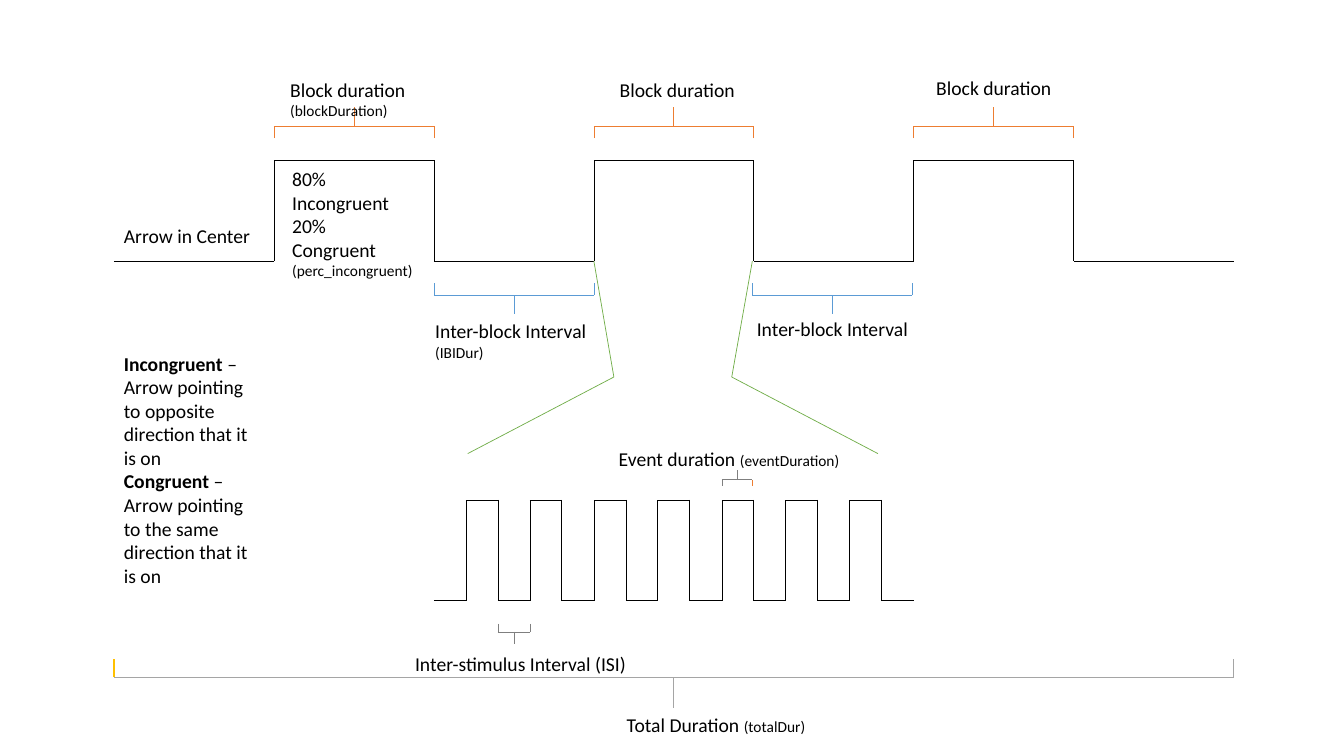
import pptx
import pptx.dml.color
import pptx.enum.shapes
import pptx.enum.text
import pptx.util
import lxml.etree

BLACK, ORANGE, BLUE, GREEN = "000000", "ED7D31", "5B9BD5", "70AD47"
GRAY, SILVER, YELLOW = "7F7F7F", "A5A5A5", "FFC000"


def color(value):
    return pptx.dml.color.RGBColor.from_string(value)


class Diagram:
    font = "Calibri"
    body = 14
    small = 11
    thin = 0.5

    def __init__(self, slide):
        self.slide = slide

    def line(self, start, end, stroke=BLACK, width=thin):
        points = [pptx.util.Pt(value) for value in (*start, *end)]
        connector = self.slide.shapes.add_connector(
            pptx.enum.shapes.MSO_CONNECTOR.STRAIGHT, *points)
        connector.line.color.rgb = color(stroke)
        connector.line.width = pptx.util.Pt(width)
        lxml.etree.SubElement(
            connector.element.spPr, pptx.oxml.ns.qn("a:effectLst"))

    def polyline(self, points, stroke=BLACK):
        for start, end in zip(points, points[1:]):
            self.line(start, end, stroke)

    def wave(self, left, step, high, low, pulses):
        points = [(left, low)]
        for pulse in range(pulses):
            rise = left + (2 * pulse + 1) * step
            fall = rise + step
            points += [(rise, low), (rise, high), (fall, high), (fall, low)]
        points.append((left + (2 * pulses + 1) * step, low))
        self.polyline(points)

    def bracket(self, left, right, tip, spine, stem, stroke,
                left_tick=None, right_tick=None, left_width=thin):
        middle = (left + right) / 2
        self.line((left, tip), (left, spine), left_tick or stroke, left_width)
        self.line((left, spine), (right, spine), stroke)
        self.line((right, tip), (right, spine), right_tick or stroke)
        self.line((middle, spine), (middle, stem), stroke)

    def label(self, left, top, width, height, *paragraphs):
        box = self.slide.shapes.add_textbox(
            *[pptx.util.Pt(value) for value in (left, top, width, height)])
        frame = box.text_frame
        frame.word_wrap = True
        frame.auto_size = pptx.enum.text.MSO_AUTO_SIZE.SHAPE_TO_FIT_TEXT
        for index, pieces in enumerate(paragraphs):
            paragraph = frame.paragraphs[0] if index == 0 else frame.add_paragraph()
            paragraph.font.name = self.font
            paragraph.font.color.rgb = color(BLACK)
            sizes = {size for _, size, _ in pieces}
            if len(sizes) == 1:
                paragraph.font.size = pptx.util.Pt(pieces[0][1])
            for text, size, bold in pieces:
                if text == "\n":
                    paragraph.add_line_break()
                    continue
                run = paragraph.add_run()
                run.text = text
                if len(sizes) > 1:
                    run.font.size = pptx.util.Pt(size)
                if bold:
                    run.font.bold = True


def normal(text):
    return text, Diagram.body, False


def strong(text):
    return text, Diagram.body, True


def variable(text):
    return text, Diagram.small, False


def main():
    presentation = pptx.Presentation()
    presentation.slide_width = pptx.util.Pt(960)
    presentation.slide_height = pptx.util.Pt(540)
    diagram = Diagram(presentation.slides.add_slide(presentation.slide_layouts[6]))

    start, block = 81.4, 114.27
    end = start + 7 * block
    baseline = 186.5
    diagram.wave(start, block, 114.5, baseline, 3)
    for number in (1, 3, 5):
        rise = start + number * block
        diagram.bracket(rise, rise + block, 98.6, 90.2, 76.5, ORANGE)

    diagram.label(200.2, 51.8, 105, 37.4,
                  [normal("Block duration "), variable("(blockDuration)")])
    diagram.label(435.6, 51.8, 105, 24.5, [normal("Block duration")])
    diagram.label(661.7, 50.4, 105, 41, [normal("Block duration")])

    events = start + 2 * block
    zoom_left, zoom_right = start + 3 * block, 537.4
    for left in (events, zoom_right):
        diagram.bracket(left, left + block, 202.3, 211, 224.6, BLUE)
    diagram.label(303.8, 224.6, 134.6, 37.4,
                  [normal("Inter-block Interval")], [variable("(IBIDur)")])
    diagram.label(533.5, 222.5, 134.6, 41, [normal("Inter-block Interval")])

    diagram.polyline([(zoom_left, baseline), (438.5, 269.3), (334.1, 324)], GREEN)
    diagram.polyline([(zoom_right, baseline), (522.7, 269.3), (627.1, 324)], GREEN)

    event = block / 5
    diagram.wave(events, event, 357.1, 429.1, 7)
    diagram.bracket(events + 2 * event, events + 3 * event,
                    445.7, 451.4, 460.1, GRAY)
    diagram.label(289.4, 462.2, 180.7, 24.5, [normal("Inter-stimulus Interval (ISI)")])
    diagram.bracket(events + 9 * event, zoom_right, 347, 342.7, 335.5, GRAY,
                    right_tick=ORANGE)
    diagram.label(434.9, 315.4, 203.8, 24.5,
                  [normal("Event duration "), variable("(eventDuration)")])

    diagram.bracket(start, end, 470.9, 483.8, 505.4, SILVER,
                    left_tick=YELLOW, left_width=1)
    diagram.label(440.6, 505.4, 155.5, 24.5,
                  [normal("Total Duration "), variable("(totalDur)")])

    diagram.label(201.6, 115.9, 105, 88.6,
                  [normal("80% Incongruent")], [normal("20%")],
                  [normal("Congruent"), normal("\n"), variable("(perc_incongruent)")])
    diagram.label(start, 156.2, 105, 24.5, [normal("Arrow in Center")])
    diagram.label(start, 247.7, 105, 177.1,
                  [strong("Incongruent "),
                   normal("– Arrow pointing to opposite direction that it is on")],
                  [strong("Congruent "),
                   normal("– Arrow pointing to the same direction that it is on")])

    presentation.save("out.pptx")


if __name__ == "__main__":
    main()
